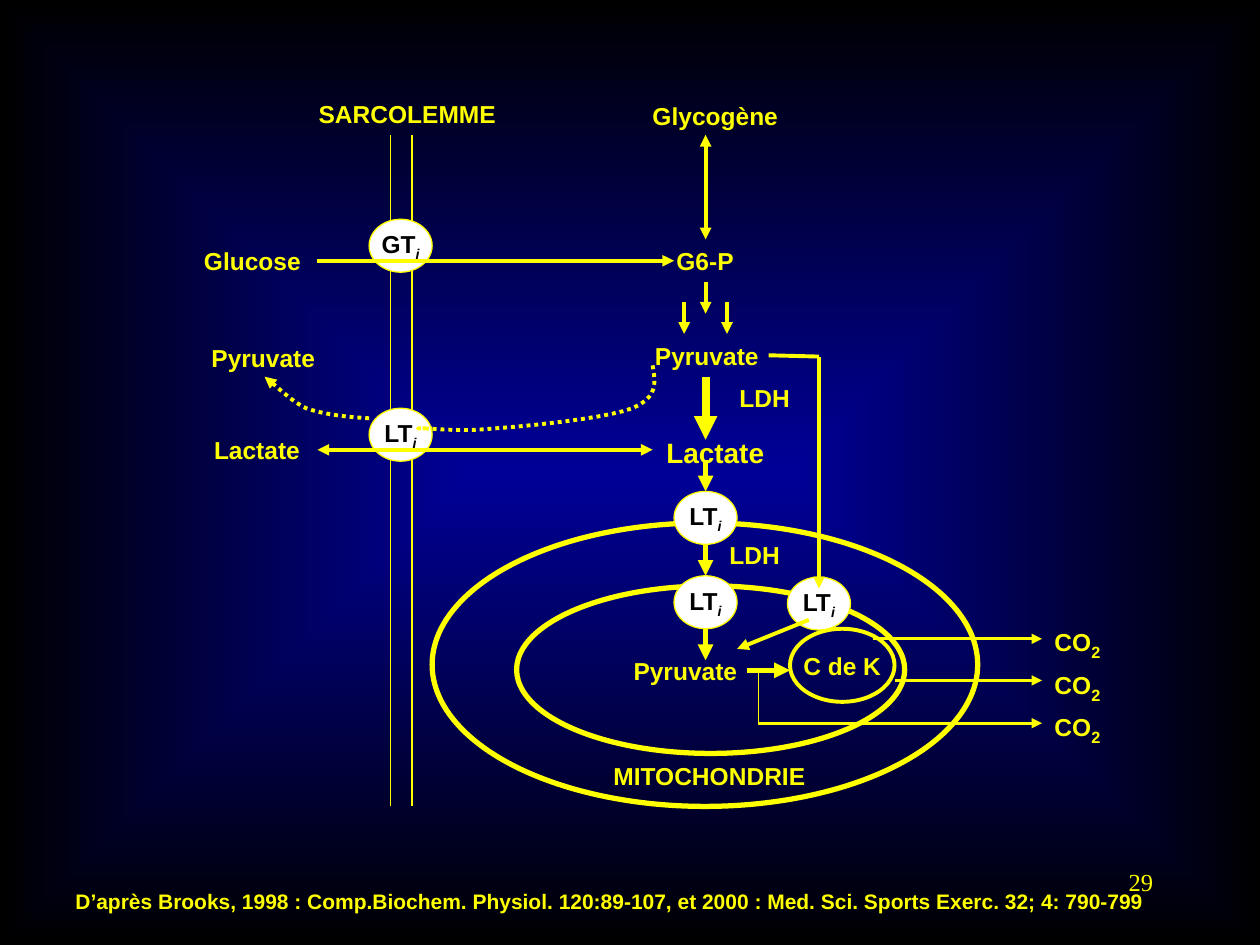
from dataclasses import dataclass
from pptx import Presentation
from pptx.dml.color import RGBColor
from pptx.enum.dml import MSO_LINE
from pptx.enum.shapes import MSO_CONNECTOR, MSO_SHAPE
from pptx.enum.text import MSO_ANCHOR, MSO_AUTO_SIZE, PP_ALIGN
from pptx.oxml.ns import qn
from pptx.oxml.xmlchemy import OxmlElement
from pptx.util import Inches, Pt

OVAL = MSO_SHAPE.OVAL
STRAIGHT = MSO_CONNECTOR.STRAIGHT
DOTS = MSO_LINE.ROUND_DOT
LEFT, CENTER, RIGHT = PP_ALIGN.LEFT, PP_ALIGN.CENTER, PP_ALIGN.RIGHT
MIDDLE = MSO_ANCHOR.MIDDLE
GROW, FIXED = MSO_AUTO_SIZE.SHAPE_TO_FIT_TEXT, MSO_AUTO_SIZE.NONE


@dataclass
class Theme:
    ink: RGBColor = RGBColor(0xFF, 0xFF, 0x00)
    dark: RGBColor = RGBColor(0x00, 0x00, 0x00)
    white: RGBColor = RGBColor(0xFF, 0xFF, 0xFF)
    blue: RGBColor = RGBColor(0x00, 0x00, 0x99)
    font: str = "Arial"
    serif: str = "Times New Roman"
    text: int = 14
    large: int = 16
    small: int = 12


theme = Theme()


def write(frame, text, sub="", color=theme.ink, align=LEFT, sub_fmt=None, **fmt):
    """Put text and an optional subscript in a frame."""
    para = frame.paragraphs[0]
    para.alignment = align
    base = {"name": theme.font, "size": Pt(theme.text), "bold": True, **fmt}
    for part, look in ((text, base), (sub, {**base, **(sub_fmt or {})})):
        if not part:
            continue
        run = para.add_run()
        run.text = part
        for key, val in look.items():
            setattr(run.font, key, val)
        run.font.color.rgb = color
        if part is sub:
            run.font._element.set("baseline", "-25000")


def stroke(shape, width, heads="", dash=None):
    """Draw a flat outline; heads holds < and > for arrowheads at start and end."""
    line = shape.line
    line.color.rgb = theme.ink
    line.width = Pt(width)
    if dash:
        line.dash_style = dash
    for mark, tag in (("<", "a:headEnd"), (">", "a:tailEnd")):
        if mark in heads:
            tip = OxmlElement(tag)
            tip.set("type", "triangle")
            line._get_or_add_ln().append(tip)
    shape._element.spPr.append(OxmlElement("a:effectLst"))


prs = Presentation()
prs.slide_width, prs.slide_height = Inches(10), Inches(7.5)
slide = prs.slides.add_slide(prs.slide_layouts[6])
shapes = slide.shapes

# Background glow from the centre
fill = slide.background.fill
fill.gradient()
for stop, color, pos in zip(fill.gradient_stops, (theme.blue, theme.dark), (0, 1)):
    stop.color.rgb = color
    stop.position = pos
grad = slide._element.find(".//" + qn("a:gradFill"))
grad.remove(grad.find(qn("a:lin")))
glow = OxmlElement("a:path")
glow.set("path", "rect")
rect = OxmlElement("a:fillToRect")
for side in "ltrb":
    rect.set(side, "50000")
glow.append(rect)
grad.append(glow)

# Sarcolemma
for x in (3.1, 3.27):
    wall = shapes.add_connector(STRAIGHT, Inches(x), Inches(1.07), Inches(x), Inches(6.4))
    stroke(wall, 0.75)

# Mitochondrion membranes and Krebs cycle
for box, width, text in (
    ((3.43, 4.15, 4.33, 2.25), 3, ""),
    ((4.1, 4.65, 3.08, 1.33), 3, ""),
    ((6.27, 4.99, 0.83, 0.58), 2.25, "C de K"),
):
    ring = shapes.add_shape(OVAL, *map(Inches, box))
    ring.fill.background()
    stroke(ring, width)
    if text:
        ring.text_frame.word_wrap = False
        ring.text_frame.vertical_anchor = MIDDLE
        write(ring.text_frame, text, align=CENTER)

# Transporters
for text, x, y in (
    ("GT", 2.93, 1.74), ("LT", 2.93, 3.24), ("LT", 5.35, 3.9),
    ("LT", 5.35, 4.57), ("LT", 6.25, 4.58),
):
    gate = shapes.add_shape(OVAL, Inches(x), Inches(y), Inches(0.5), Inches(0.42))
    gate.fill.solid()
    gate.fill.fore_color.rgb = theme.white
    stroke(gate, 0.75)
    gate.text_frame.word_wrap = False
    gate.text_frame.vertical_anchor = MIDDLE
    write(gate.text_frame, text, "i", theme.dark, CENTER, {"italic": True})

# Labels
big = {"size": Pt(theme.large)}
small = {"size": Pt(theme.small)}
page = {"name": theme.serif, "bold": False, "align": RIGHT}
gas = {"sub": "2", "sub_fmt": big}
source = ("D’après Brooks, 1998 : Comp.Biochem. Physiol. 120:89-107, "
          "et 2000 : Med. Sci. Sports Exerc. 32; 4: 790-799")
labels = [
    ("SARCOLEMME", 2.43, 0.74, 1.62, 0.34, {}),
    ("Glycogène", 5.08, 0.75, 1.21, 0.34, {}),
    ("G6-P", 5.27, 1.9, 0.67, 0.34, {}),
    ("Glucose", 1.52, 1.9, 0.98, 0.34, {}),
    ("Pyruvate", 5.1, 2.66, 1.04, 0.34, {}),
    ("Pyruvate", 1.58, 2.67, 1.04, 0.34, {}),
    ("Pyruvate", 4.93, 5.16, 1.04, 0.34, {}),
    ("Lactate", 5.19, 3.41, 0.99, 0.37, big),
    ("Lactate", 1.6, 3.4, 0.89, 0.34, {}),
    ("LDH", 5.77, 2.99, 0.61, 0.34, {}),
    ("LDH", 5.69, 4.24, 0.61, 0.34, {}),
    ("MITOCHONDRIE", 4.77, 5.99, 1.74, 0.34, {}),
    (source, 0.5, 7, 8.72, 0.3, small),
    ("29", 7.17, 6.83, 2.08, 0.5, page),
]
labels += [("CO", 8.27, y, 0.58, 0.41, gas) for y in (4.9, 5.24, 5.57)]
for text, x, y, w, h, fmt in labels:
    frame = shapes.add_textbox(*map(Inches, (x, y, w, h))).text_frame
    frame.word_wrap = fmt in (gas, page)
    frame.auto_size = FIXED if fmt is page else GROW
    write(frame, text, **fmt)

# Reactions and transport
mid = 5.6
arrows = [
    (mid, 1.07, mid, 1.9, 2.25, "<>"),
    (2.52, 2.07, 5.35, 2.07, 2.25, ">"),
    (mid, 2.24, mid, 2.49, 2.25, ">"),
    (5.77, 2.4, 5.77, 2.65, 2.25, ">"),
    (5.43, 2.4, 5.43, 2.65, 2.25, ">"),
    (mid, 2.99, mid, 3.49, 4.5, ">"),
    (2.52, 3.57, 5.18, 3.57, 2.25, "<>"),
    (5.93, 5.32, 6.27, 5.32, 3, ">"),
    (6.42, 4.92, 5.85, 5.15, 2.25, ">"),
    (6.93, 5.07, 8.27, 5.07, 1.5, ">"),
    (7.1, 5.4, 8.27, 5.4, 1.5, ">"),
    (6.02, 5.74, 8.27, 5.74, 1.5, ">"),
    (6.02, 5.32, 6.02, 5.74, 0.75, ""),
    (6.1, 2.82, 6.5, 2.83, 2.25, ""),
    (6.5, 2.83, 6.5, 4.67, 2.25, ">"),
]
arrows += [(mid, y, mid, y + 0.25, 3, ">") for y in (3.65, 4.32, 4.99)]
for x1, y1, x2, y2, width, heads in arrows:
    arrow = shapes.add_connector(STRAIGHT, *map(Inches, (x1, y1, x2, y2)))
    stroke(arrow, width, heads)

# Dotted pyruvate route: chained cubic curves, each sampled in equal steps
STEPS = 10
for knots, heads in (
    ([(5.18, 2.9), (5.2, 3.03), (5.23, 3.15), (5.02, 3.24), (4.81, 3.32),
      (4.21, 3.38), (3.93, 3.4), (3.66, 3.43), (3.43, 3.4), (3.35, 3.4),
      (3.27, 3.4), (3.35, 3.4), (3.43, 3.4)], ""),
    ([(2.93, 3.32), (2.75, 3.31), (2.57, 3.29), (2.43, 3.24), (2.3, 3.18),
      (2.16, 3.03), (2.1, 2.99)], ">"),
):
    dots = []
    for at in range(0, len(knots) - 1, 3):
        for step in range(1, STEPS + 1):
            t = step / STEPS
            mix = ((1 - t) ** 3, 3 * t * (1 - t) ** 2, 3 * t * t * (1 - t), t ** 3)
            dots.append(tuple(Inches(sum(m * k[axis] for m, k in zip(mix, knots[at:at + 4])))
                              for axis in (0, 1)))
    pen = shapes.build_freeform(*map(Inches, knots[0]))
    pen.add_line_segments(dots, close=False)
    route = pen.convert_to_shape()
    route.fill.background()
    stroke(route, 2.25, heads, DOTS)

prs.save("out.pptx")
